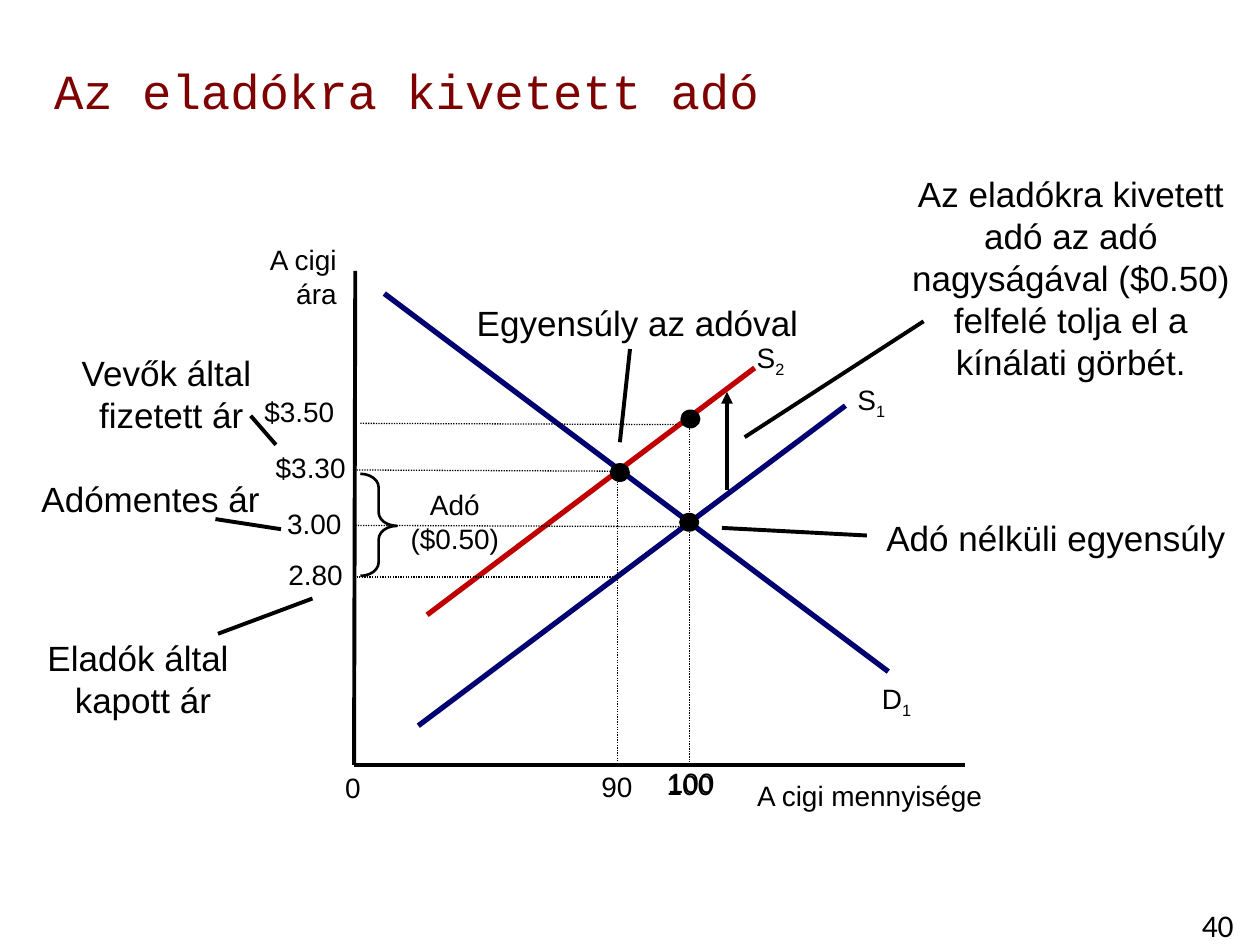
from lxml import etree
from pptx import Presentation
from pptx.dml.color import RGBColor
from pptx.enum.dml import MSO_LINE
from pptx.enum.shapes import MSO_CONNECTOR, MSO_SHAPE
from pptx.enum.text import MSO_ANCHOR, MSO_AUTO_SIZE, PP_ALIGN
from pptx.oxml.ns import qn
from pptx.util import Inches, Pt

STRAIGHT = MSO_CONNECTOR.STRAIGHT
OVAL, LEFT_BRACE = MSO_SHAPE.OVAL, MSO_SHAPE.LEFT_BRACE
LEFT, CENTER, RIGHT = PP_ALIGN.LEFT, PP_ALIGN.CENTER, PP_ALIGN.RIGHT
DOTTED = MSO_LINE.ROUND_DOT
MIDDLE = MSO_ANCHOR.MIDDLE
GROW = MSO_AUTO_SIZE.SHAPE_TO_FIT_TEXT
BLACK, NAVY, RED, MAROON = "000000", "000070", "C00000", "7E0000"


def rgb(color):
    """Turn a hex string into a colour."""
    return RGBColor.from_string(color)


def style_font(paragraph, size, name="Arial", color=BLACK):
    """Set the font of a whole paragraph."""
    font = paragraph.font
    font.size, font.name = Pt(size), name
    font.color.rgb = rgb(color)


def add_title(slide, text):
    """Place and format the slide title."""
    title = slide.shapes.title
    title.left, title.top = Inches(0.33), Inches(0.42)
    title.width, title.height = Inches(9.67), Inches(0.58)
    frame = title.text_frame
    frame.text, frame.vertical_anchor = text, MIDDLE
    frame.paragraphs[0].alignment = LEFT
    style_font(frame.paragraphs[0], 28, "Courier New", MAROON)


def add_label(slide, box, lines, size=16, align=CENTER, wrap=True, subscript="", name="Arial"):
    """Add a text label, one paragraph a line, with an optional subscript."""
    frame = slide.shapes.add_textbox(*map(Inches, box)).text_frame
    frame.word_wrap, frame.auto_size = wrap, GROW
    frame.text = lines
    for paragraph in frame.paragraphs:
        paragraph.alignment = align
        style_font(paragraph, size, name)
    if subscript:
        index = frame.paragraphs[0].add_run()
        index.text = subscript
        index.font._element.set("baseline", "-25000")


def add_line(slide, start, end, color=BLACK, width=2.25, dash=None, arrow=False):
    """Add a straight line, dashed or arrow-headed on request."""
    line = slide.shapes.add_connector(STRAIGHT, *map(Inches, (*start, *end)))
    line.line.color.rgb, line.line.width = rgb(color), Pt(width)
    if dash:
        line.line.dash_style = dash
    if arrow:
        etree.SubElement(line.line._get_or_add_ln(), qn("a:tailEnd"), type="triangle")
    etree.SubElement(line._element.spPr, qn("a:effectLst"))


def add_guide(slide, start, end):
    """Add a dotted guide from a curve point to an axis."""
    add_line(slide, start, end, width=0.75, dash=DOTTED)


def add_point(slide, x, y):
    """Mark a point centred on x, y."""
    box = (x - 0.08, y - 0.075, 0.16, 0.15)
    point = slide.shapes.add_shape(OVAL, *map(Inches, box))
    point.shadow.inherit = False
    point.fill.solid()
    point.fill.fore_color.rgb = rgb(BLACK)
    point.line.fill.background()


def add_tax_brace(slide):
    """Add the brace that spans the tax."""
    brace = slide.shapes.add_shape(LEFT_BRACE, *map(Inches, (2.86, 3.76, 0.29, 0.81)))
    brace.adjustments[0], brace.adjustments[1] = 0.37, 0.49
    brace.rotation = 180
    brace.shadow.inherit = False
    brace.fill.background()
    brace.line.color.rgb, brace.line.width = rgb(BLACK), Pt(1.5)


def add_axes(slide):
    """Draw both axes with their names."""
    add_line(slide, (2.82, 2.15), (2.81, 6.07))
    add_line(slide, (2.81, 6.07), (7.66, 6.07))
    add_label(slide, (1.23, 1.88, 1.54, 0.64), "A cigi\nára", align=RIGHT)
    add_label(slide, (5.91, 6.13, 3.29, 0.37), "A cigi mennyisége", align=LEFT)
    add_label(slide, (2.64, 6.07, 0.33, 0.37), "0", align=LEFT, wrap=False)


def main():
    """Build the slide on a tax levied on sellers."""
    deck = Presentation()
    deck.slide_width, deck.slide_height = Inches(10), Inches(7.5)
    slide = deck.slides.add_slide(deck.slide_layouts[5])
    add_title(slide, "Az eladókra kivetett adó")
    add_label(slide, (9.33, 7.14, 0.67, 0.4), "40", 18, name="Calibri")
    add_axes(slide)

    curves = [
        ((3.05, 2.33), (7.05, 5.33), NAVY, "D", "1", (6.89, 5.36, 0.45, 0.37)),
        ((3.32, 5.76), (6.71, 3.22), NAVY, "S", "1", (6.7, 2.99, 0.43, 0.37)),
        ((3.39, 4.88), (5.99, 2.92), RED, "S", "2", (5.9, 2.65, 0.43, 0.37)),
    ]
    for start, end, color, letter, index, box in curves:
        add_line(slide, start, end, color, 3)
        add_label(slide, box, letter, wrap=False, subscript=index)

    quantities = [
        ("90", (4.9, 3.74), (4.9, 6.06), (4.67, 6.06, 0.45, 0.37)),
        ("100", (5.47, 4.18), (5.47, 6.05), (5.19, 6.04, 0.57, 0.37)),
        ("100", (5.47, 3.38), (5.47, 6.03), (5.2, 6.03, 0.57, 0.53)),
    ]
    for quantity, start, end, box in quantities:
        add_guide(slide, start, end)
        add_label(slide, box, quantity, wrap=False)

    prices = [
        ("$3.50", (2.86, 3.36), (5.37, 3.37), (2, 3.08, 0.91, 0.51)),
        ("$3.30", (2.81, 3.73), (4.91, 3.74), (2.09, 3.53, 0.76, 0.37)),
        ("3.00", (2.82, 4.17), (5.45, 4.18), (2.18, 3.97, 0.64, 0.37)),
        ("2.80", (2.83, 4.58), (4.9, 4.58), (2.19, 4.38, 0.64, 0.37)),
    ]
    for price, start, end, box in prices:
        add_guide(slide, start, end)
        add_label(slide, box, price, align=LEFT, wrap=False)

    for x, y in [(5.47, 4.145), (4.92, 3.75), (5.48, 3.325)]:
        add_point(slide, x, y)

    shift = ("Az eladókra kivetett adó az adó nagyságával ($0.50) "
             "felfelé tolja el a kínálati görbét.")
    callouts = [
        ("Vevők által \nfizetett ár", (0.54, 2.74, 1.64, 0.77), (1.99, 3.3), (2.19, 3.53)),
        ("Adómentes ár", (0.22, 3.74, 1.95, 0.44), (1.71, 4.12), (2.23, 4.2)),
        ("Eladók által \nkapott ár", (0.27, 5, 1.73, 0.77), (1.73, 5.03), (2.48, 4.75)),
        (shift, (7.08, 1.32, 2.84, 1.78), (5.91, 3.47), (7.33, 2.55)),
        ("Adó nélküli egyensúly", (6.92, 4.05, 2.92, 0.44), (5.73, 4.19), (6.88, 4.25)),
        ("Egyensúly az adóval", (3.67, 2.34, 2.78, 0.44), (4.92, 3.51), (5, 2.77)),
    ]
    for text, box, start, end in callouts:
        add_label(slide, box, text, 20)
        add_line(slide, start, end)

    add_line(slide, (5.77, 3.89), (5.77, 3.11), arrow=True)
    add_label(slide, (3.09, 3.82, 1.04, 0.91), "Adó\n($0.50)")
    add_tax_brace(slide)
    deck.save("out.pptx")


if __name__ == "__main__":
    main()
